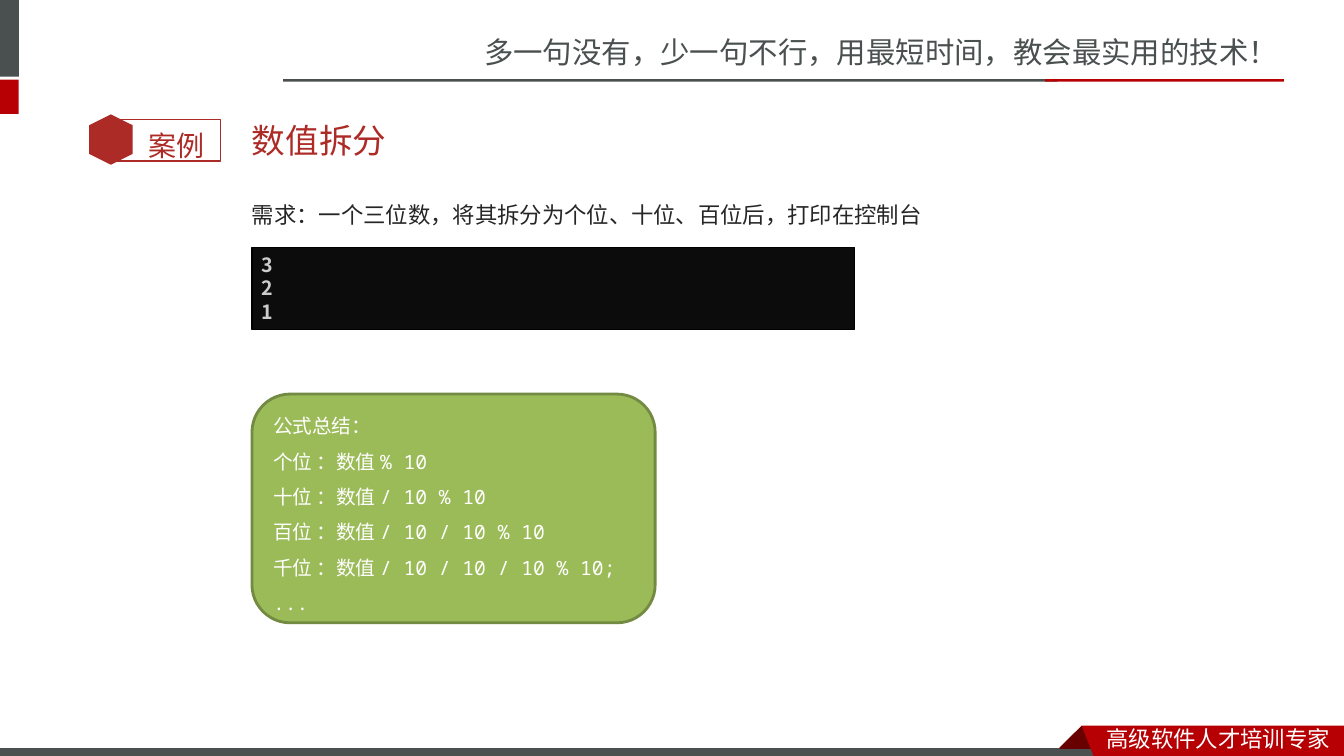
from dataclasses import dataclass
from lxml.etree import SubElement
from pptx import Presentation
from pptx.dml.color import RGBColor
from pptx.enum.shapes import MSO_SHAPE
from pptx.enum.text import MSO_ANCHOR, MSO_AUTO_SIZE, PP_ALIGN
from pptx.oxml.ns import qn
from pptx.util import Pt


@dataclass(frozen=True)
class Theme:
    gray: str = "49504F"
    red: str = "B60004"
    dark_red: str = "680000"
    accent: str = "AD2B26"
    white: str = "FFFFFF"
    ink: str = "262626"
    console: str = "0C0C0C"
    console_line: str = "000000"
    console_text: str = "CCCCCC"
    green: str = "9BBB59"
    green_line: str = "738A42"
    chinese_font: str = "Noto Sans CJK SC"
    slogan_size: int = 21
    title_size: int = 24
    badge_size: int = 20
    body_size: int = 16
    code_size: int = 14


theme = Theme()


def paint(shape, fill, line=None, width=1):
    shape.shadow.inherit = False
    if fill:
        shape.fill.solid()
        shape.fill.fore_color.rgb = RGBColor.from_string(fill)
    else:
        shape.fill.background()
    if line:
        shape.line.color.rgb = RGBColor.from_string(line)
        shape.line.width = Pt(width)
    else:
        shape.line.fill.background()


def write(shape, lines, size, font, color, spacing=1.0, anchor=MSO_ANCHOR.TOP, bold=False):
    frame = shape.text_frame
    frame.text = "\n".join(lines)
    frame.word_wrap = True
    frame.auto_size = MSO_AUTO_SIZE.NONE
    frame.vertical_anchor = anchor
    for paragraph in frame.paragraphs:
        paragraph.alignment = PP_ALIGN.LEFT
        paragraph.line_spacing = spacing
        paragraph.space_before = Pt(0)
        properties = paragraph._p.get_or_add_pPr()
        properties.set("marL", "0")
        properties.set("indent", "0")
        SubElement(properties, qn("a:buNone"))
        paragraph.font.size = Pt(size)
        paragraph.font.bold = bold
        paragraph.font.color.rgb = RGBColor.from_string(color)
        paragraph.font.name = font
        if font.startswith("Noto"):
            east_asian = SubElement(properties.find(qn("a:defRPr")), qn("a:ea"))
            east_asian.set("typeface", theme.chinese_font)


presentation = Presentation()
presentation.slide_width, presentation.slide_height = Pt(960), Pt(540)
slide = presentation.slides.add_slide(presentation.slide_layouts[1])
shapes = slide.shapes

# Side bars, header rule and footer bar
for left, top, width, height, fill, line in (
    (0, 0, 13.5, 54.7, theme.gray, None),
    (0, 56.9, 13.3, 24.5, theme.red, None),
    (202.3, 56.6, 553, 1.7, theme.gray, None),
    (746.6, 56.6, 170.6, 1.7, theme.red, None),
    (-0.7, 533.8, 792, 8.4, theme.gray, theme.white),
):
    bar = shapes.add_shape(MSO_SHAPE.RECTANGLE, Pt(left), Pt(top), Pt(width), Pt(height))
    paint(bar, fill, line, 0.75)

# Footer ribbon: folded corner, then banner
for fill, corners in (
    (theme.dark_red, ((772.6, 518.4), (788.4, 534.2), (787.7, 535), (757.4, 535), (756.7, 534.2))),
    (theme.red, ((772.6, 518.4), (960, 518.4), (960, 542.9), (782, 542.2))),
):
    points = [(Pt(x), Pt(y)) for x, y in corners]
    builder = shapes.build_freeform(*points[0])
    builder.add_line_segments(points[1:], close=True)
    paint(builder.convert_to_shape(), fill)

# Case badge
frame_box = shapes.add_shape(MSO_SHAPE.RECTANGLE, Pt(78.7), Pt(85.5), Pt(78.7), Pt(29.5))
paint(frame_box, None, theme.accent)
hexagon = shapes.add_shape(MSO_SHAPE.HEXAGON, Pt(61.2), Pt(84.2), Pt(36), Pt(31))
hexagon.rotation = 90
paint(hexagon, theme.accent)

# Slogan, ribbon and badge labels
for text, left, top, width, height, size, font, color, spacing in (
    ("多一句没有，少一句不行，用最短时间，教会最实用的技术！", 338.7, 20.6, 621.3, 32.4,
     theme.slogan_size, theme.chinese_font, theme.gray, 1.0),
    ("高级软件人才培训专家", 783.4, 514.4, 176.6, 26.6,
     theme.body_size, theme.chinese_font, theme.white, 1.0),
    ("案例", 99, 76.3, 61.2, 40.3, theme.badge_size, "Calibri", theme.accent, 1.5),
):
    label = shapes.add_textbox(Pt(left), Pt(top), Pt(width), Pt(height))
    write(label, [text], size, font, color, spacing)

# Title and task
title, body = shapes.title, slide.placeholders[1]
title.left, title.top, title.width, title.height = Pt(172.8), Pt(79.5), Pt(725.8), Pt(41)
write(title, ["数值拆分"], theme.title_size, "Roboto", theme.accent, anchor=MSO_ANCHOR.MIDDLE)
body.left, body.top, body.width, body.height = Pt(172.8), Pt(130.3), Pt(725.8), Pt(332)
write(body, ["需求：一个三位数，将其拆分为个位、十位、百位后，打印在控制台"],
      theme.body_size, "Calibri", theme.ink, 1.5)

# Console output
console = shapes.add_shape(MSO_SHAPE.RECTANGLE, Pt(180), Pt(177), Pt(430.4), Pt(58.3))
paint(console, theme.console, theme.console_line)
write(console, ["3", "2", "1"], theme.code_size, "Noto Sans CJK JP", theme.console_text, bold=True)

# Formula summary, with the right inset freed for the longest formula
summary = shapes.add_shape(MSO_SHAPE.ROUNDED_RECTANGLE, Pt(180), Pt(281.5), Pt(288), Pt(163.4))
paint(summary, theme.green, theme.green_line, 2)
write(summary, [
    "公式总结：",
    "个位 ：数值 % 10",
    "十位 ：数值 / 10 % 10",
    "百位 ：数值 / 10 / 10 % 10",
    "千位 ：数值 / 10 / 10 / 10 % 10;",
    "...",
], theme.code_size, "Noto Sans Mono", theme.white, 1.5, MSO_ANCHOR.MIDDLE)
summary.text_frame.margin_right = Pt(0)

presentation.save("out.pptx")
